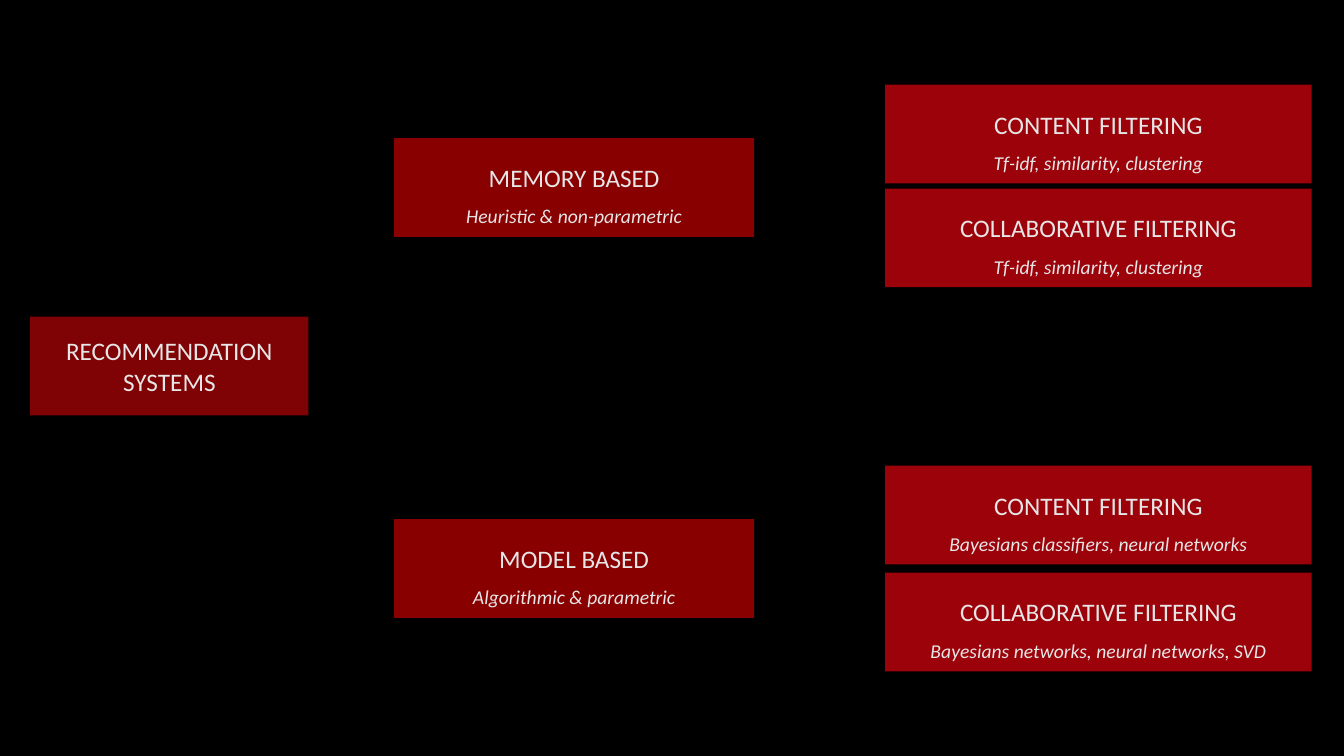
from dataclasses import dataclass

from lxml.etree import SubElement
from pptx import Presentation
from pptx.dml.color import RGBColor as Rgb
from pptx.enum.shapes import MSO_SHAPE as Preset
from pptx.enum.text import MSO_ANCHOR as Anchor, PP_ALIGN as Align
from pptx.oxml.ns import qn
from pptx.util import Inches, Pt


@dataclass(frozen=True)
class Theme:
    background: str = "000000"
    root: str = "7F0205"
    approach: str = "C00000"
    technique: str = "DE040D"
    text: str = "E7E6E6"
    font: str = "Calibri"
    heading: int = 18
    detail: int = 14


@dataclass(frozen=True)
class Column:
    left: float
    width: float
    color: str
    opacity: int = 100


THEME = Theme()
BOX_HEIGHT = 0.98
ROOT = Column(0.3, 2.76, THEME.root)
APPROACHES = Column(3.91, 3.57, THEME.approach, 71)
TECHNIQUES = Column(8.78, 4.23, THEME.technique, 70)

BRANCHES = [
    (1.37, "MEMORY BASED", "Heuristic & non-parametric", [
        (0.84, "CONTENT FILTERING", "Tf-idf, similarity, clustering"),
        (1.87, "COLLABORATIVE FILTERING", "Tf-idf, similarity, clustering"),
    ]),
    (5.15, "MODEL BASED", "Algorithmic & parametric", [
        (4.62, "CONTENT FILTERING", "Bayesians classifiers, neural networks"),
        (5.68, "COLLABORATIVE FILTERING", "Bayesians networks, neural networks, SVD"),
    ]),
]


def write(paragraph, text, size=THEME.heading, italic=False, spacing=1.0):
    paragraph.alignment = Align.CENTER
    paragraph.line_spacing = spacing
    run = paragraph.add_run()
    run.text = text
    run.font.name = THEME.font
    run.font.size = Pt(size)
    run.font.italic = italic
    run.font.color.rgb = Rgb.from_string(THEME.text)


def add_box(slide, column, top):
    box = slide.shapes.add_shape(
        Preset.RECTANGLE, Inches(column.left), Inches(top),
        Inches(column.width), Inches(BOX_HEIGHT))
    box.shadow.inherit = False
    box.line.fill.background()
    box.fill.solid()
    box.fill.fore_color.rgb = Rgb.from_string(column.color)
    if column.opacity < 100:
        color = box.fill._xPr.find(qn("a:solidFill")).find(qn("a:srgbClr"))
        SubElement(color, qn("a:alpha")).set("val", str(column.opacity * 1000))
    box.text_frame.word_wrap = True
    box.text_frame.vertical_anchor = Anchor.MIDDLE
    return box.text_frame


def add_node(slide, column, top, heading, detail):
    frame = add_box(slide, column, top)
    write(frame.paragraphs[0], heading, spacing=1.5)
    write(frame.add_paragraph(), detail, size=THEME.detail, italic=True, spacing=1.5)


def main():
    deck = Presentation()
    deck.slide_width, deck.slide_height = Inches(13.33), Inches(7.5)
    slide = deck.slides.add_slide(deck.slide_layouts[6])
    slide.background.fill.solid()
    slide.background.fill.fore_color.rgb = Rgb.from_string(THEME.background)

    root = add_box(slide, ROOT, 3.14)
    write(root.paragraphs[0], "RECOMMENDATION SYSTEMS")
    for top, approach, detail, techniques in BRANCHES:
        add_node(slide, APPROACHES, top, approach, detail)
        for technique in techniques:
            add_node(slide, TECHNIQUES, *technique)
    deck.save("out.pptx")


if __name__ == "__main__":
    main()
